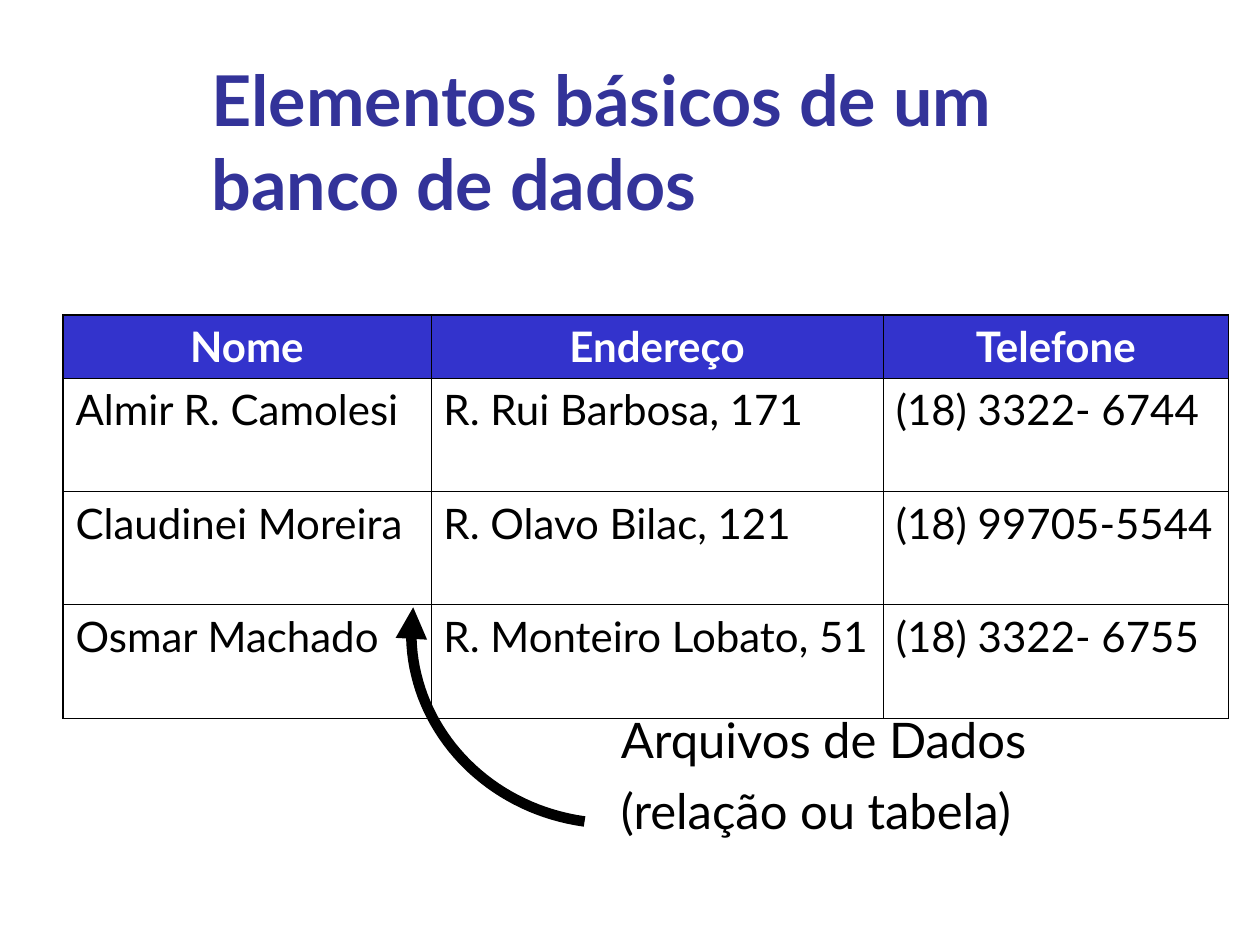
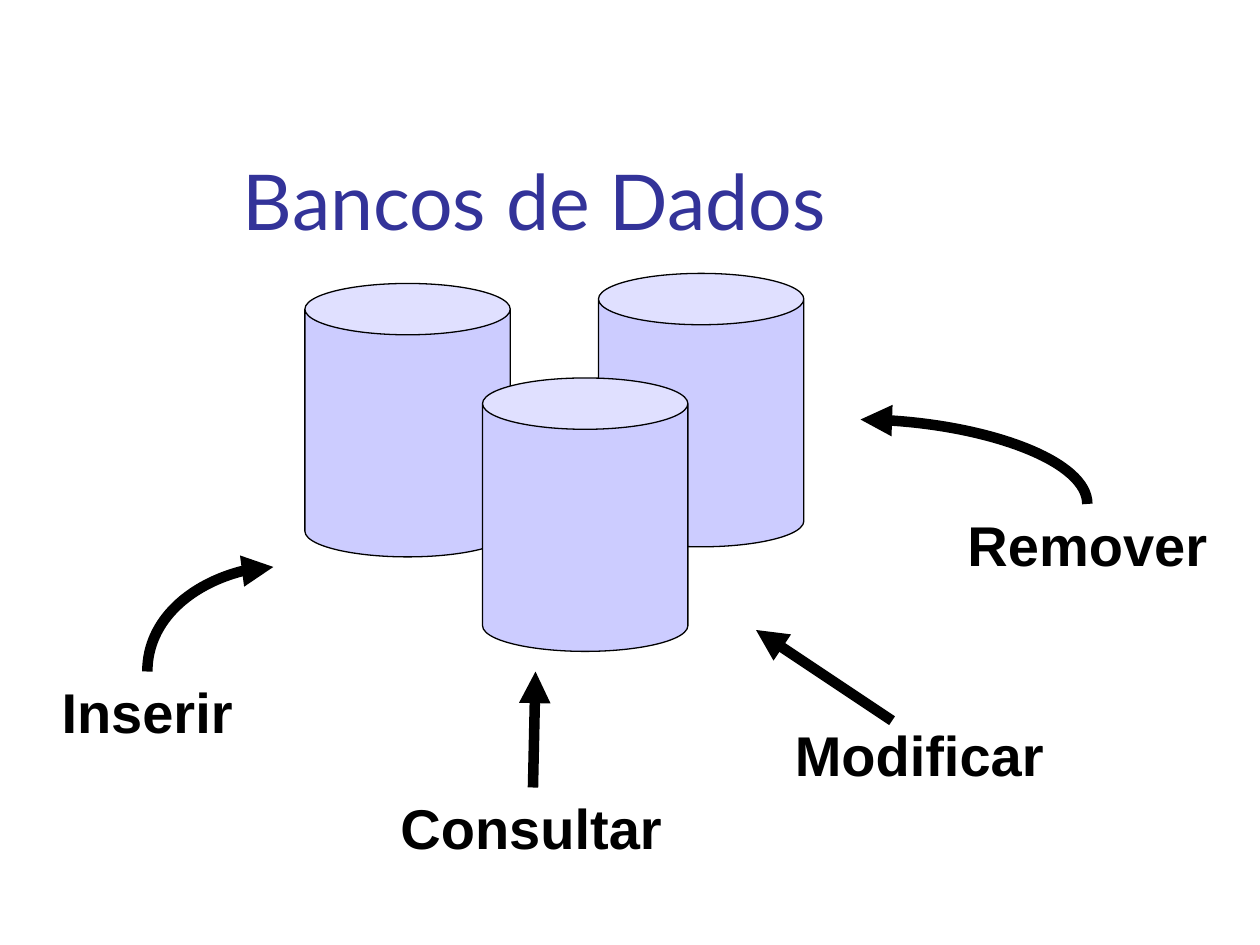
from dataclasses import dataclass

from lxml import etree
from pptx import Presentation
from pptx import util as u
from pptx.dml.color import RGBColor
from pptx.enum import shapes, text
from pptx.oxml.ns import qn

TITLE_BLUE = "333399"
HEADER_BLUE = "3333CC"
CAN_FILL = "CCCCFF"
BLACK = "000000"
WHITE = "FFFFFF"
TITLE_FONT = "Lato"
LABEL_FONT = "Arial"
OUTER_PT, INNER_PT = 1.08, 0.45
ARROW_PT = 6

Point = tuple[float, float]


@dataclass
class Style:
    size: float
    font: str = TITLE_FONT
    color: str = BLACK
    bold: bool = False


@dataclass
class Operation:
    label: str
    left: float
    top: float
    width: float
    arrow_from: Point
    arrow_to: Point
    curved: bool = False
    joined: bool = False


OPERATIONS = [
    Operation("Inserir", 0.39, 5.33, 1.6, (1.17, 5.33), (2.17, 4.5), curved=True),
    Operation("Consultar", 3.08, 6.25, 2.3, (4.22, 6.25), (4.25, 5.33), joined=True),
    Operation("Modificar", 6.21, 5.67, 2.2, (7.08, 5.72), (6, 5)),
    Operation("Remover", 7.58, 4, 2.15, (8.63, 4), (6.83, 3.33), curved=True),
]
CANS: list[Point] = [(2.42, 2.25), (4.75, 2.17), (3.83, 3)]

CONTACTS = [
    ("Nome", "Endereço", "Telefone"),
    ("Almir R. Camolesi", "R. Rui Barbosa, 171", "(18) 3322- 6744"),
    ("Claudinei Moreira", "R. Olavo Bilac, 121", "(18) 99705-5544"),
    ("Osmar Machado", "R. Monteiro Lobato, 51", "(18) 3322- 6755"),
]
COLUMN_WIDTHS = (2.92, 3.59, 2.74)
ROW_HEIGHTS = (0.5, 0.9, 0.9, 0.9)


def rgb(color: str) -> RGBColor:
    return RGBColor.from_string(color)


def format_paragraph(p, style: Style) -> None:
    for r in p.runs:
        r.font.size = u.Pt(style.size)
        r.font.name = style.font
        r.font.bold = style.bold
        r.font.color.rgb = rgb(style.color)


def add_text(s, words: str, left: float, top: float, width: float, height: float,
             style: Style, wrap: bool = True):
    box = s.shapes.add_textbox(*map(u.Inches, (left, top, width, height)))
    tf = box.text_frame
    tf.word_wrap = wrap
    tf.text = words
    for p in tf.paragraphs:
        format_paragraph(p, style)
    return box


def add_title(s, words: str, left: float, top: float, width: float, style: Style) -> None:
    box = add_text(s, words, left, top, width, 1.25, style)
    box.text_frame.vertical_anchor = text.MSO_ANCHOR.BOTTOM


def style_arrow(sp, end: str) -> None:
    """Draw a thick black line with a triangle at 'headEnd' or 'tailEnd'."""
    sp.line.color.rgb = rgb(BLACK)
    sp.line.width = u.Pt(ARROW_PT)
    sp_pr = sp.element.spPr
    etree.SubElement(sp_pr.find(qn("a:ln")), qn(f"a:{end}"), type="triangle")
    if sp_pr.find(qn("a:effectLst")) is None:
        etree.SubElement(sp_pr, qn("a:effectLst"))


def add_bezier_arrow(s, start: Point, c1: Point, c2: Point, end: Point,
                     steps: int = 40) -> None:
    """Draw a cubic curve whose arrowhead sits at its start."""
    points = []
    for i in range(steps + 1):
        t = i / steps
        weights = ((1 - t) ** 3, 3 * t * (1 - t) ** 2, 3 * t * t * (1 - t), t ** 3)
        points.append(tuple(
            u.Inches(sum(w * q[axis] for w, q in zip(weights, (start, c1, c2, end))))
            for axis in (0, 1)))
    builder = s.shapes.build_freeform(*points[0])
    builder.add_line_segments(points[1:], close=False)
    sp = builder.convert_to_shape()
    sp.shadow.inherit = False
    sp.fill.background()
    style_arrow(sp, "headEnd")


def add_operation(s, op: Operation) -> None:
    box = add_text(s, op.label, op.left, op.top, op.width, 0.64,
                   Style(32, LABEL_FONT, bold=True))
    kind = shapes.MSO_CONNECTOR
    if op.curved:
        # A quarter curve leaves horizontally, so it is drawn from its arrowhead.
        ends = (*op.arrow_to, *op.arrow_from)
        cx = s.shapes.add_connector(kind.CURVE, *map(u.Inches, ends))
        cx.element.spPr.find(qn("a:prstGeom")).set("prst", "curvedConnector2")
        style_arrow(cx, "headEnd")
        return
    ends = (*op.arrow_from, *op.arrow_to)
    cx = s.shapes.add_connector(kind.STRAIGHT, *map(u.Inches, ends))
    if op.joined:
        cx.begin_connect(box, 0)
    style_arrow(cx, "tailEnd")


def add_can(s, left: float, top: float) -> None:
    sp = s.shapes.add_shape(shapes.MSO_SHAPE.CAN,
                            *map(u.Inches, (left, top, 1.63, 2.17)))
    sp.adjustments[0] = 0.25
    sp.shadow.inherit = False
    sp.fill.solid()
    sp.fill.fore_color.rgb = rgb(CAN_FILL)
    sp.line.color.rgb = rgb(BLACK)
    sp.line.width = u.Pt(0.75)


def set_borders(cell, thick_sides: dict[str, bool]) -> None:
    tc_pr = cell._tc.get_or_add_tcPr()
    for i, (side, thick) in enumerate(thick_sides.items()):
        width = u.Pt(OUTER_PT if thick else INNER_PT)
        ln = etree.Element(qn(f"a:ln{side}"), w=str(width))
        fill = etree.SubElement(ln, qn("a:solidFill"))
        etree.SubElement(fill, qn("a:srgbClr"), val=BLACK)
        tc_pr.insert(i, ln)


def add_contacts_table(s) -> None:
    size = (0.5, 2.5, sum(COLUMN_WIDTHS), sum(ROW_HEIGHTS))
    table = s.shapes.add_table(len(ROW_HEIGHTS), len(COLUMN_WIDTHS),
                               *map(u.Inches, size)).table
    table.horz_banding = False
    for column, width in zip(table.columns, COLUMN_WIDTHS):
        column.width = u.Inches(width)
    for row, height in zip(table.rows, ROW_HEIGHTS):
        row.height = u.Inches(height)
    for i, record in enumerate(CONTACTS):
        header = i == 0
        for j, value in enumerate(record):
            cell = table.cell(i, j)
            cell.text = value
            p = cell.text_frame.paragraphs[0]
            p.space_before = u.Pt(6)
            p.alignment = text.PP_ALIGN.CENTER if header else text.PP_ALIGN.LEFT
            format_paragraph(p, Style(24, color=WHITE if header else BLACK, bold=header))
            if header:
                cell.fill.solid()
                cell.fill.fore_color.rgb = rgb(HEADER_BLUE)
            else:
                cell.fill.background()
            set_borders(cell, {"L": j == 0, "R": False, "T": header, "B": False})


def build_elements_slide(s) -> None:
    add_title(s, "Elementos básicos de um\vbanco de dados", 1.58, 0.58, 8.17,
              Style(40, color=TITLE_BLUE, bold=True))
    caption = add_text(s, "Arquivos de Dados\n(relação ou tabela)",
                       4.83, 5.58, 3.83, 1.5, Style(28))
    for p in caption.text_frame.paragraphs:
        p.space_before = u.Pt(7)
    add_contacts_table(s)
    add_bezier_arrow(s, (3.28, 4.82), (3.16, 5.64), (3.77, 6.4), (4.64, 6.52))


def build_databases_slide(s) -> None:
    add_title(s, "Bancos de Dados", 1.83, 0.75, 8.52, Style(44, color=TITLE_BLUE))
    for op in OPERATIONS:
        add_operation(s, op)
    for left, top in CANS:
        add_can(s, left, top)


def main() -> None:
    prs = Presentation()
    prs.slide_width, prs.slide_height = u.Inches(10), u.Inches(7.5)
    for build in (build_elements_slide, build_databases_slide):
        build(prs.slides.add_slide(prs.slide_layouts[6]))
    prs.save("out.pptx")


if __name__ == "__main__":
    main()
